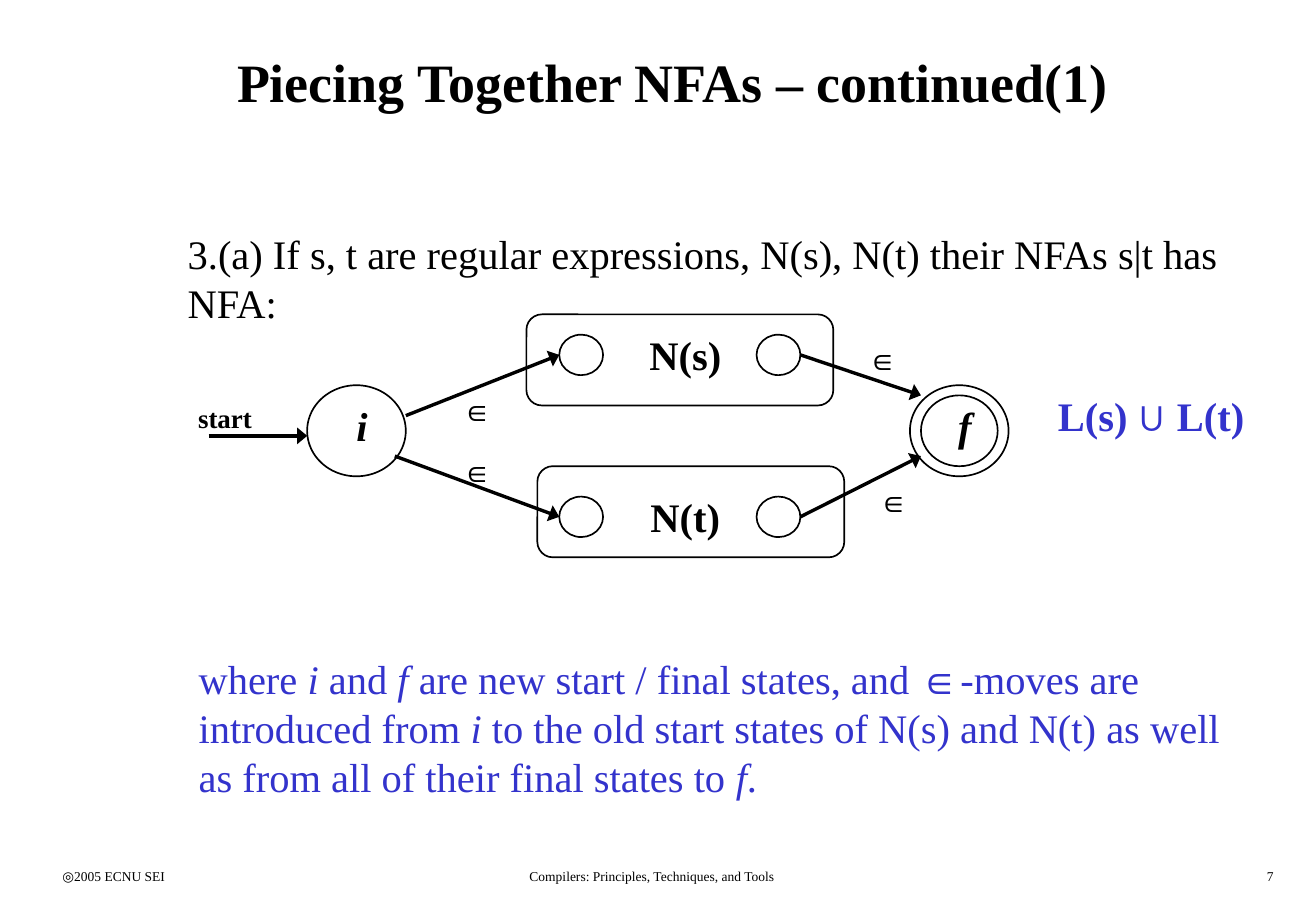
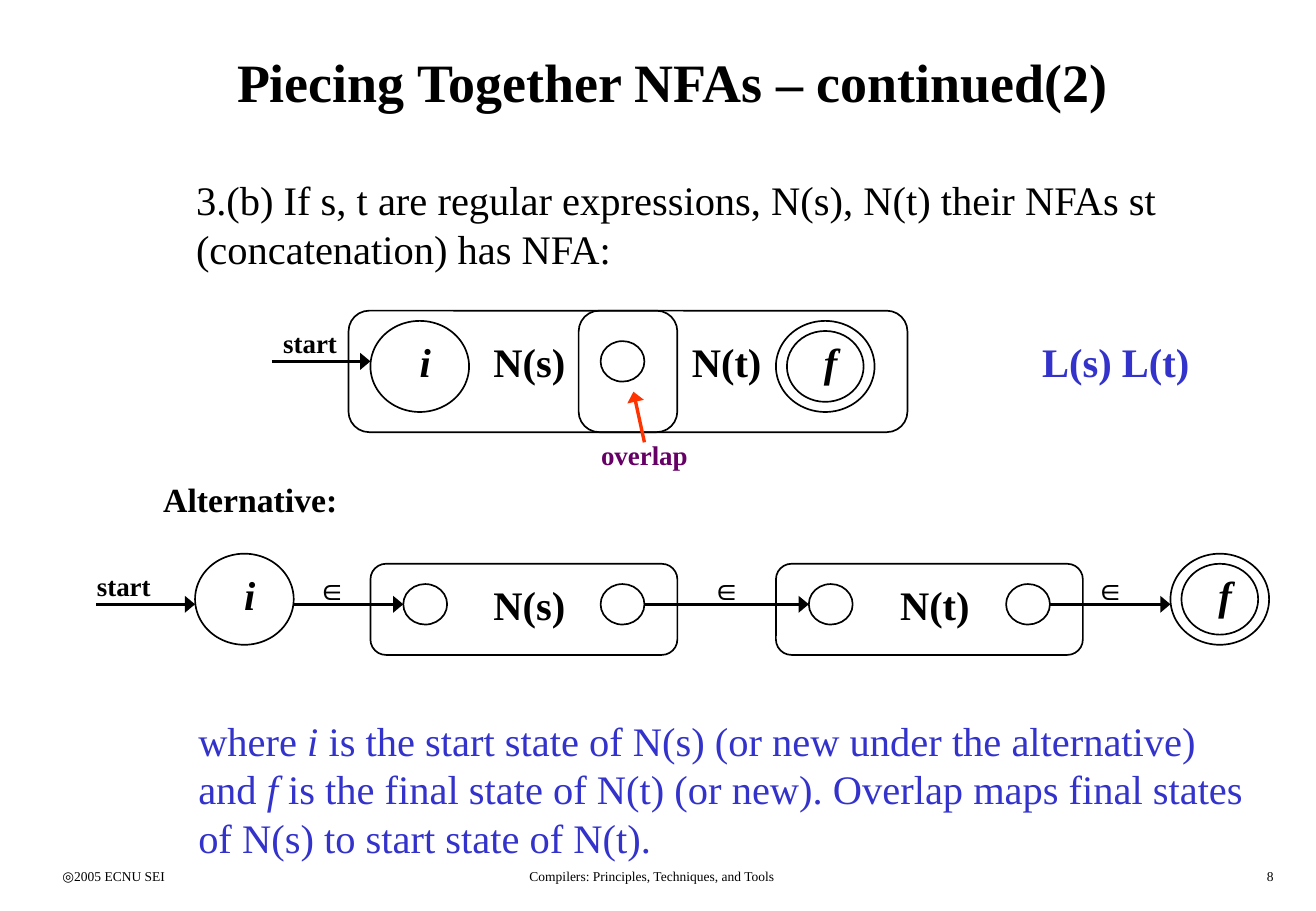
from dataclasses import dataclass

from lxml.etree import SubElement
from pptx import Presentation
from pptx.dml.color import RGBColor
from pptx.enum.shapes import MSO_CONNECTOR, MSO_SHAPE
from pptx.enum.text import MSO_ANCHOR, PP_ALIGN
from pptx.oxml.ns import qn
from pptx.util import Pt


@dataclass(frozen=True)
class Theme:
    ink: str = "000000"
    blue: str = "3333CC"
    plum: str = "660066"
    red: str = "FF3300"
    serif: str = "Times New Roman"
    sans: str = "Arial"
    title: int = 32
    text: int = 24
    head: int = 20
    mark: int = 18
    note: int = 16
    foot: int = 8
    thin: int = 1
    thick: int = 2
    col: float = 6.5
    row: float = 6


T = Theme()
LEFT, MID, RIGHT = PP_ALIGN.LEFT, PP_ALIGN.CENTER, PP_ALIGN.RIGHT

FOOT = [
    (4.6, 25, LEFT, "◎2005 ECNU SEI"),
    (37, 45, MID, "Compilers: Principles, Techniques, and Tools"),
    (92.3, 25, RIGHT, "{page}"),
]

SLIDES = [
    {
        "page": 7,
        "title": "Piecing Together NFAs – continued(1)",
        "origin": (0.03, 0.06),
        "intro": (16, 22, "3.(a) If s, t are regular expressions, N(s), N(t) their NFAs s|t has NFA:"),
        "where": (17, 64, [
            "where ", ("i", "italic"), " and ", ("f", "italic"),
            " are new start / final states, and ", ("∈", "sans"),
            "-moves are introduced from ", ("i", "italic"),
            " to the old start states of N(s) and N(t) as well as from all of their final states to ",
            ("f", "italic"), "."]),
        "result": (94, 38, 22, ["L(s) ", ("∪", "sans"), " L(t)"]),
        "states": [(28, 38, "i"), (83, 38, "f")],
        "frames": [(48, 31, 28, 9), (49, 46, 28, 9)],
        "dots": [(51, 33), (69, 33), (51, 49), (69, 49)],
        "names": [(57, 32, "N(s)"), (57, 48, "N(t)")],
        "starts": [(16, 39)],
        "moves": [(40, 38), (40, 44), (78, 47), (77, 33)],
        "arrows": [(19, 43, 28, 43), (37, 41, 51, 35), (36, 45, 51, 51),
                   (73, 51, 84, 45), (73, 35, 84, 39)],
    },
    {
        "page": 8,
        "title": "Piecing Together NFAs – continued(2)",
        "origin": (-0.2, -0.3),
        "intro": (17, 17, "3.(b) If s, t are regular expressions, N(s), N(t) their NFAs st (concatenation) has NFA:"),
        "where": (17.2, 70.4, [
            "where ", ("i", "italic"),
            " is the start state of N(s) (or new under the alternative) and ", ("f", "italic"),
            " is the final state of N(t) (or new). Overlap maps final states of N(s) to start state of N(t)."]),
        "result": (90, 33, 24, "L(s) L(t)"),
        "states": [(34, 32, "i"), (71, 32, "f"), (18, 55, "i"), (107, 55, "f")],
        "frames": [(32, 31, 30, 12), (53, 31, 30, 12), (34, 56, 28, 9), (71, 56, 28, 9)],
        "dots": [(55, 34), (37, 58), (55, 58), (74, 58), (92, 58)],
        "names": [(43, 33, "N(s)"), (61, 33, "N(t)"), (43, 57, "N(s)"), (80, 57, "N(t)")],
        "starts": [(24, 32), (7, 56)],
        "moves": [(27, 56), (63, 56), (98, 56)],
        "arrows": [(25, 36, 34, 36), (9, 60, 18, 60), (27, 60, 37, 60),
                   (59, 60, 74, 60), (96, 60, 107, 60)],
        "overlap": {"label": (50, 43, 18, "overlap"), "arrow": (59, 44, 58, 39)},
        "other": (14, 47, 27, "Alternative:"),
    },
]


def rgb(color):
    return RGBColor.from_string(color)


def style(para, size, color=T.ink, bold=False, italic=False, face=T.serif, align=LEFT):
    para.alignment = align
    font = para.font
    font.name, font.size = face, Pt(size)
    font.bold, font.italic = bold, italic
    font.color.rgb = rgb(color)


class Sheet:
    def __init__(self, slide, origin=(0, 0)):
        self.shapes = slide.shapes
        self.origin = origin

    def place(self, x, y):
        left, top = self.origin
        return Pt((x + left) * T.col), Pt((y + top) * T.row)

    def area(self, x, y, w, h):
        return *self.place(x, y), Pt(w * T.col), Pt(h * T.row)

    def text(self, x, y, w, h, parts, size, **look):
        frame = self.shapes.add_textbox(*self.area(x, y, w, h)).text_frame
        frame.word_wrap = True
        para = frame.paragraphs[0]
        style(para, size, **look)
        for part in [parts] if isinstance(parts, str) else parts:
            words, kind = (part, "") if isinstance(part, str) else part
            run = para.add_run()
            run.text = words
            if kind == "italic":
                run.font.italic = True
            elif kind == "sans":
                run.font.name = T.sans

    def label(self, x, y, w, h, parts, size=T.text, **look):
        self.text(x, y, w, h, parts, size, bold=True, align=MID, **look)

    def shape(self, kind, x, y, w, h):
        shape = self.shapes.add_shape(kind, *self.area(x, y, w, h))
        shape.shadow.inherit = False
        shape.fill.background()
        shape.line.color.rgb = rgb(T.ink)
        shape.line.width = Pt(T.thin)
        return shape

    def oval(self, x, y, w, h):
        self.shape(MSO_SHAPE.OVAL, x, y, w, h)

    def state(self, x, y, name):
        self.oval(x, y, 9, 9)
        if name == "f":
            self.oval(x + 1, y + 1, 7, 7)
        self.label(x + 2, y + 1, 6, 6, name, italic=True)

    def arrow(self, x1, y1, x2, y2, color=T.ink):
        line = self.shapes.add_connector(
            MSO_CONNECTOR.STRAIGHT, *self.place(x1, y1), *self.place(x2, y2))
        line.line.color.rgb = rgb(color)
        line.line.width = Pt(T.thick)
        props = line._element.spPr
        SubElement(props.find(qn("a:ln")), qn("a:tailEnd"), type="triangle", w="lg", len="med")
        SubElement(props, qn("a:effectLst"))


def frame(slide, data):
    slide.shapes.title.text = data["title"]
    style(slide.shapes.title.text_frame.paragraphs[0], T.title, bold=True, align=MID)
    sheet = Sheet(slide)
    for x, w, align, words in FOOT:
        sheet.text(x, 85.2, w, 3, words.format(page=data["page"]), T.foot, align=align)


def draw(sheet, data):
    x, y, words = data["intro"]
    sheet.text(x, y, 100, 10.8, words, T.text)
    for box in data["frames"]:
        sheet.shape(MSO_SHAPE.ROUNDED_RECTANGLE, *box).adjustments[0] = 0.17
    for spot in data["states"]:
        sheet.state(*spot)
    for x, y in data["dots"]:
        sheet.oval(x, y, 4, 4)
    for ends in data["arrows"]:
        sheet.arrow(*ends)
    for x, y, name in data["names"]:
        sheet.label(x, y, 11, 6, name)
    for x, y in data["starts"]:
        sheet.label(x, y, 9, 4.4, "start", T.note)
    for x, y in data["moves"]:
        sheet.label(x, y, 7, 4.8, "∈", T.mark, face=T.sans)
    x, y, w, words = data["result"]
    sheet.label(x, y, w, 6, words, color=T.blue)
    if "overlap" in data:
        x, y, w, words = data["overlap"]["label"]
        sheet.label(x, y, w, 4.4, words, T.note, color=T.plum)
        sheet.arrow(*data["overlap"]["arrow"], color=T.red)
    if "other" in data:
        x, y, w, words = data["other"]
        sheet.text(x, y, w, 5.3, words, T.head, bold=True)
    x, y, words = data["where"]
    sheet.text(x, y, 99, 15.6, words, T.text, color=T.blue)


def main():
    deck = Presentation()
    deck.slide_width, deck.slide_height = Pt(780.48), Pt(540)
    layout = deck.slide_layouts[5]
    title = layout.placeholders[0]
    title.left, title.top, title.width, title.height = Pt(30), Pt(12), Pt(738), Pt(72)
    title.text_frame.vertical_anchor = MSO_ANCHOR.MIDDLE
    for data in SLIDES:
        slide = deck.slides.add_slide(layout)
        frame(slide, data)
        draw(Sheet(slide, data["origin"]), data)
    deck.save("out.pptx")


if __name__ == "__main__":
    main()
